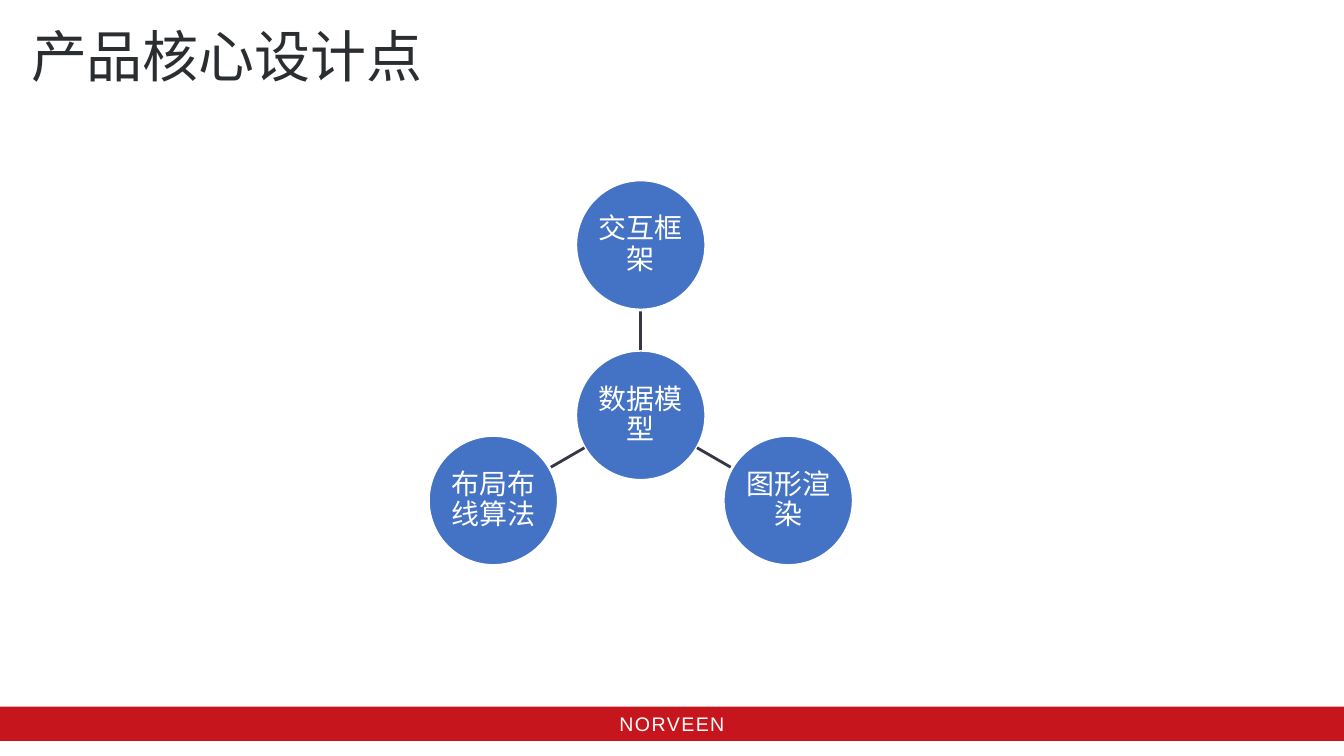
from math import cos, sin, radians
from lxml import etree
from pptx import Presentation, util as u
from pptx.dml.color import RGBColor
from pptx.enum import shapes, text
from pptx.oxml.ns import qn

TITLE = "产品核心设计点"
BRAND = "NORVEEN"
HUB = "数据模型"
NODES = [("交互框架", -90), ("图形渲染", 30), ("布局布线算法", 150)]
CJK = "Noto Sans CJK SC"
MID_X, MID_Y = 6.36, 4.12
SIZE, REACH = 1.29, 1.69


def paint(color, code):
    """Set a fill, line or font colour from a hex string."""
    color.rgb = RGBColor.from_string(code)


def write(frame, words, size, font, code):
    """Add one run and return its paragraph."""
    para = frame.paragraphs[0]
    run = para.add_run()
    run.text = words
    run.font.size = u.Pt(size)
    run.font.name = font
    paint(run.font.color, code)
    east = etree.SubElement(run.font._element, qn("a:ea"))
    east.set("typeface", font)
    return para


def shape(kind, box, fill):
    """Add a filled preset shape without line or shadow."""
    item = slide.shapes.add_shape(kind, *map(u.Inches, box))
    item.shadow.inherit = False
    item.fill.solid()
    paint(item.fill.fore_color, fill)
    item.line.fill.background()
    return item


def point(angle, dist):
    """Return the spot at an angle and distance from the hub."""
    turn = radians(angle)
    return MID_X + dist * cos(turn), MID_Y + dist * sin(turn)


def circle(words, x, y):
    """Draw a labelled circle centred on x, y."""
    box = (x - SIZE / 2, y - SIZE / 2, SIZE, SIZE)
    item = shape(shapes.MSO_SHAPE.OVAL, box, "4472C4")
    paint(item.line.color, "FFFFFF")
    item.line.width = u.Pt(2)
    frame = item.text_frame
    frame.word_wrap = True
    frame.vertical_anchor = text.MSO_ANCHOR.MIDDLE
    frame.margin_left = frame.margin_right = u.Inches(0.01)
    frame.margin_top = frame.margin_bottom = u.Inches(0.01)
    para = write(frame, words, 20, CJK, "FFFFFF")
    para.alignment = text.PP_ALIGN.CENTER
    para.line_spacing = 0.9


def spoke(angle):
    """Draw the line from the hub to the circle at an angle."""
    ends = point(angle, SIZE / 2) + point(angle, REACH - SIZE / 2)
    line = slide.shapes.add_connector(
        shapes.MSO_CONNECTOR.STRAIGHT, *map(u.Inches, ends))
    paint(line.line.color, "353743")
    line.line.width = u.Pt(2)
    etree.SubElement(line._element.spPr, qn("a:effectLst"))


deck = Presentation()
deck.slide_width, deck.slide_height = u.Inches(13.34), u.Inches(7.5)
slide = deck.slides.add_slide(deck.slide_layouts[6])

bar = shape(shapes.MSO_SHAPE.RECTANGLE, (0, 7.01, 13.34, 0.34), "C7151D")
para = write(bar.text_frame, BRAND, 14, "Arial", "FFFFFF")
para.alignment = text.PP_ALIGN.CENTER
para.runs[0].font._element.set("spc", "100")

head = slide.shapes.add_textbox(*map(u.Inches, (0.21, 0.16, 4.13, 0.77)))
head.text_frame.word_wrap = False
write(head.text_frame, TITLE, 40, CJK, "2B2E30")

circle(HUB, MID_X, MID_Y)
for words, angle in NODES:
    spoke(angle)
    circle(words, *point(angle, REACH))

deck.save("out.pptx")
